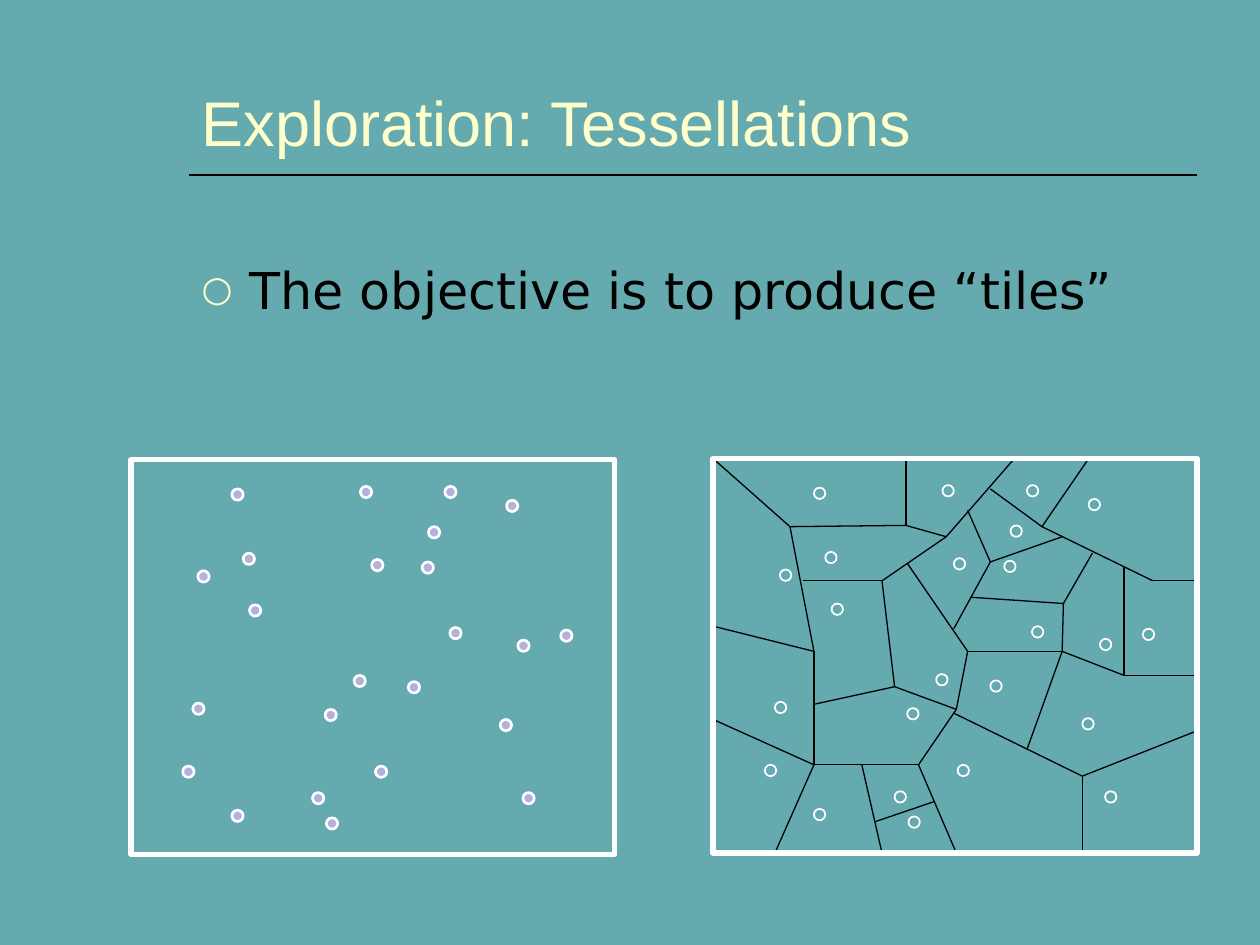
from dataclasses import dataclass
from itertools import pairwise

from lxml.etree import SubElement as Sub
from pptx import Presentation
from pptx.dml.color import RGBColor as RGB
from pptx.enum.shapes import MSO_CONNECTOR as Conn, MSO_SHAPE as Shape
from pptx.enum.text import MSO_ANCHOR as Anchor, MSO_AUTO_SIZE as Auto, PP_ALIGN as Align
from pptx.oxml.ns import qn
from pptx.util import Inches, Pt


@dataclass(frozen=True)
class Theme:
    back: str = "64AAAE"
    cream: str = "FFFFCC"
    black: str = "000000"
    white: str = "FFFFFF"
    lilac: str = "B4B1DB"
    head: str = "Arial"
    text: str = "DejaVu Sans"
    head_size: float = 36
    text_size: float = 29
    rule: float = 1
    edge: float = 0.75
    frame: float = 3


THEME = Theme()
DOT = 0.09

# Top left corners of the dots, measured from the corner of a panel
SITES = [
    (1.55, 2.84), (1.82, 0.21), (0.8, 0.23), (3.41, 1.35), (1.44, 2.64), (2.98, 0.32),
    (0.94, 1.15), (1.54, 1.98), (2.31, 0.81), (0.49, 1.93), (0.89, 0.74), (0.41, 2.43),
    (2.2, 1.76), (2.49, 0.21), (1.91, 0.79), (0.53, 0.88), (2.36, 0.53), (3.07, 1.43),
    (3.11, 2.64), (1.94, 2.43), (0.8, 2.78), (1.77, 1.71), (2.93, 2.06), (2.53, 1.33),
]

# Chains of tile corners, measured the same way
EDGES = [
    [(0, 2.07), (0.8, 2.43), (0.49, 3.13)],
    [(0.8, 2.43), (0.8, 1.53), (0.61, 0.54), (0, 0)],
    [(0.8, 1.53), (0, 1.33)],
    [(0.61, 0.54), (1.53, 0.53), (1.53, 0)],
    [(0.71, 0.97), (1.34, 0.97), (1.85, 0.62), (2.39, 0)],
    [(1.53, 0.53), (1.85, 0.62)],
    [(2.2, 0.24), (2.61, 0.54), (2.98, 0)],
    [(2.61, 0.54), (3.49, 0.97), (3.84, 0.97)],
    [(1.34, 0.97), (1.44, 1.81), (0.8, 1.95)],
    [(1.44, 1.81), (1.93, 1.99), (1.63, 2.43), (0.8, 2.43)],
    [(1.63, 2.43), (1.93, 3.13)],
    [(1.18, 2.43), (1.34, 3.13)],
    [(1.29, 2.88), (1.76, 2.72)],
    [(1.54, 0.83), (2.02, 1.53), (1.93, 1.99)],
    [(1.91, 2.02), (2.93, 2.52), (3.84, 2.16)],
    [(2.93, 2.52), (2.93, 3.13)],
    [(2.02, 0.41), (2.2, 0.82), (1.91, 1.35)],
    [(2.2, 0.82), (2.77, 0.62)],
    [(2.02, 1.53), (2.77, 1.53)],
    [(2.04, 1.1), (2.78, 1.15), (3.01, 0.75)],
    [(2.78, 1.15), (2.77, 1.53), (3.26, 1.72), (3.84, 1.72)],
    [(3.26, 0.86), (3.26, 1.72)],
    [(2.49, 2.31), (2.77, 1.53)],
]


def add_shape(parent, kind, box, line, fill=None):
    shape = parent.add_shape(kind, *map(Inches, box))
    shape.shadow.inherit = False
    if fill:
        shape.fill.solid()
        shape.fill.fore_color.rgb = RGB.from_string(fill)
    else:
        shape.fill.background()
    shape.line.color.rgb = RGB.from_string(THEME.white)
    shape.line.width = Pt(line)


def add_line(parent, start, end, width):
    line = parent.add_connector(Conn.STRAIGHT, *map(Inches, (*start, *end)))
    line.line.color.rgb = RGB.from_string(THEME.black)
    line.line.width = Pt(width)
    Sub(line._element.spPr, qn("a:effectLst"))


def fill_text(holder, box, text, anchor, font, color):
    """Place a placeholder, write its one paragraph and return that paragraph."""
    for name, value in zip(("left", "top", "width", "height"), box):
        setattr(holder, name, Inches(value))
    frame = holder.text_frame
    frame.text = text
    frame.word_wrap = True
    frame.auto_size = Auto.NONE
    frame.vertical_anchor = anchor
    para = frame.paragraphs[0]
    para.alignment = Align.LEFT
    para.space_before = Pt(0)
    run = para.runs[0]
    for name, value in font.items():
        setattr(run.font, name, value)
    run.font.color.rgb = RGB.from_string(color)
    return para


def add_title(slide, box, text):
    font = {"name": THEME.head, "size": Pt(THEME.head_size), "bold": False}
    fill_text(slide.shapes.title, box, text, Anchor.BOTTOM, font, THEME.cream)
    left, top, width, height = box
    rule = top + height + 0.08
    add_line(slide.shapes, (left, rule), (left + width, rule), THEME.rule)


def add_list(slide, box, text):
    font = {"name": THEME.text, "size": Pt(THEME.text_size)}
    para = fill_text(slide.placeholders[1], box, text, Anchor.TOP, font, THEME.black)
    props = para._p.get_or_add_pPr()
    props.set("marL", str(Inches(0.38)))
    props.set("indent", str(-Inches(0.38)))
    Sub(Sub(props, qn("a:buClr")), qn("a:srgbClr"), val=THEME.cream)
    Sub(props, qn("a:buSzPct"), val="70000")
    Sub(props, qn("a:buFont"), typeface=THEME.text)
    Sub(props, qn("a:buChar"), char="○")


def add_dots(parent, box, line, fill=None):
    left, top = box[:2]
    for x, y in SITES:
        add_shape(parent, Shape.OVAL, (left + x, top + y, DOT, DOT), line, fill)


def add_points(slide, box):
    group = slide.shapes.add_group_shape().shapes
    add_shape(group, Shape.RECTANGLE, box, THEME.frame)
    add_dots(group, box, 1.5, THEME.lilac)


def add_tiles(slide, box):
    left, top = box[:2]
    add_dots(slide.shapes, box, 1)
    group = slide.shapes.add_group_shape().shapes
    for chain in EDGES:
        spots = [(left + x, top + y) for x, y in chain]
        for start, end in pairwise(spots):
            add_line(group, start, end, THEME.edge)
    add_shape(slide.shapes, Shape.RECTANGLE, box, THEME.frame)


def main():
    deck = Presentation()
    deck.slide_width, deck.slide_height = Inches(10), Inches(7.5)
    slide = deck.slides.add_slide(deck.slide_layouts[1])
    back = slide.background.fill
    back.solid()
    back.fore_color.rgb = RGB.from_string(THEME.back)
    add_title(slide, (1.5, 0.06, 8, 1.25), "Exploration: Tessellations")
    add_list(slide, (1.5, 2, 8, 4.5), "The objective is to produce “tiles”")
    add_points(slide, (1.04, 3.65, 3.84, 3.13))
    add_tiles(slide, (5.66, 3.64, 3.84, 3.13))
    deck.save("out.pptx")


if __name__ == "__main__":
    main()
